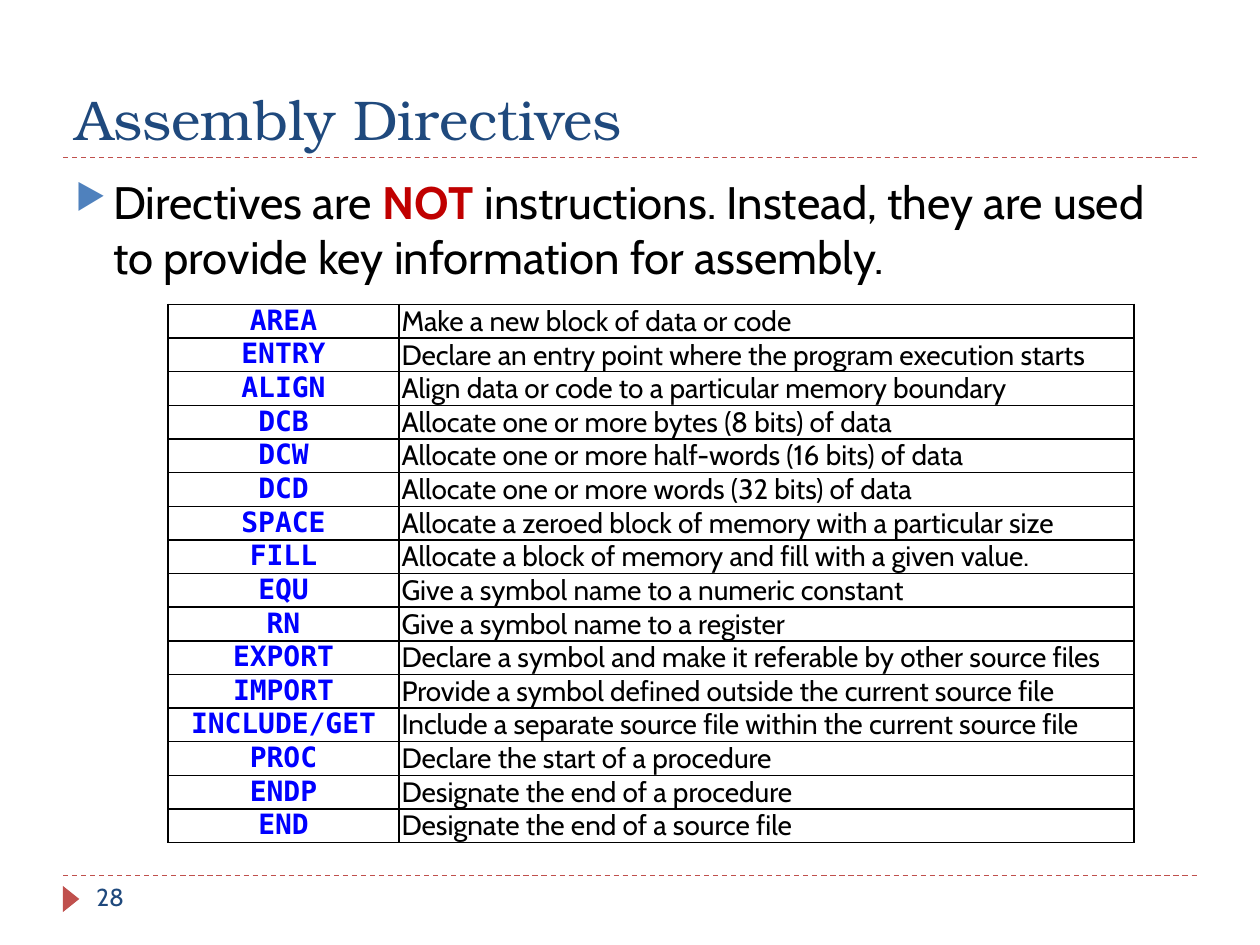
import pptx
import pptx.dml.color
import pptx.enum.dml
import pptx.enum.shapes
import pptx.enum.text
import pptx.oxml
import pptx.oxml.ns
import pptx.util

Pt = pptx.util.Pt
ALIGN = pptx.enum.text.PP_ALIGN
ANCHOR = pptx.enum.text.MSO_ANCHOR

COLORS = {
    "navy": "1F497D",
    "blue": "4F81BD",
    "code": "0000FF",
    "brick": "C0504D",
    "alert": "C00000",
    "black": "000000",
}
SERIF, SANS, MONO = "TeX Gyre Bonum", "Cabin", "DejaVu Sans Mono"

DIRECTIVES = [
    ("AREA", "Make a new block of data or code"),
    ("ENTRY", "Declare an entry point where the program execution starts"),
    ("ALIGN", "Align data or code to a particular memory boundary"),
    ("DCB", "Allocate one or more bytes (8 bits) of data"),
    ("DCW", "Allocate one or more half-words (16 bits) of data"),
    ("DCD", "Allocate one or more words (32 bits) of data"),
    ("SPACE", "Allocate a zeroed block of memory with a particular size"),
    ("FILL", "Allocate a block of memory and fill with a given value."),
    ("EQU", "Give a symbol name to a numeric constant"),
    ("RN", "Give a symbol name to a register"),
    ("EXPORT", "Declare a symbol and make it referable by other source files"),
    ("IMPORT", "Provide a symbol defined outside the current source file"),
    ("INCLUDE/GET", "Include a separate source file within the current source file"),
    ("PROC", "Declare the start of a procedure"),
    ("ENDP", "Designate the end of a procedure"),
    ("END", "Designate the end of a source file"),
]


def rgb(name):
    return pptx.dml.color.RGBColor.from_string(COLORS[name])


def xml(markup):
    tag, rest = markup.split(" ", 1)
    return pptx.oxml.parse_xml(f"{tag} {pptx.oxml.ns.nsdecls('a')} {rest}")


def style(font, face, size, color, bold=False):
    font.name = face
    font.size = Pt(size)
    font.bold = bold
    font.color.rgb = rgb(color)


def add_text(slide, left, top, width, height, runs, anchor=ANCHOR.TOP):
    box = slide.shapes.add_textbox(Pt(left), Pt(top), Pt(width), Pt(height))
    frame = box.text_frame
    frame.word_wrap = True
    frame.vertical_anchor = anchor
    paragraph = frame.paragraphs[0]
    for text, *look in runs:
        run = paragraph.add_run()
        run.text = text
        style(run.font, *look)
    return paragraph


def add_bullet(paragraph):
    properties = paragraph._p.get_or_add_pPr()
    properties.set("marL", str(Pt(21.6)))
    properties.set("indent", str(Pt(-21.6)))
    properties.append(xml(f'<a:buClr ><a:srgbClr val="{COLORS["blue"]}"/></a:buClr>'))
    properties.append(xml('<a:buSzPct val="76000"/>'))
    properties.append(xml('<a:buChar char="▶"/>'))


def add_rule(slide, y):
    rule = slide.shapes.add_connector(
        pptx.enum.shapes.MSO_CONNECTOR.STRAIGHT, Pt(36), Pt(y), Pt(684), Pt(y))
    rule.line.color.rgb = rgb("brick")
    rule.line.width = Pt(0.75)
    rule.line.dash_style = pptx.enum.dml.MSO_LINE.DASH
    rule._element.spPr.append(xml("<a:effectLst />"))


def add_page_marker(slide):
    marker = slide.shapes.add_shape(
        pptx.enum.shapes.MSO_SHAPE.ISOSCELES_TRIANGLE,
        Pt(33.1), Pt(509), Pt(15), Pt(9.4))
    marker.rotation = 90
    marker.shadow.inherit = False
    marker.fill.solid()
    marker.fill.fore_color.rgb = rgb("brick")
    marker.line.fill.background()


def fill_cell(cell, text, align, *look):
    cell.margin_left = cell.margin_right = Pt(1.5)
    cell.margin_top = cell.margin_bottom = Pt(0)
    cell.fill.background()
    paragraph = cell.text_frame.paragraphs[0]
    paragraph.text = text
    paragraph.alignment = align
    style(paragraph.runs[0].font, *look)
    properties = cell._tc.get_or_add_tcPr()
    for position, side in enumerate(("lnL", "lnR", "lnT", "lnB")):
        properties.insert(position, xml(
            f'<a:{side} w="{Pt(1)}"><a:solidFill><a:srgbClr val="{COLORS["black"]}"/>'
            f"</a:solidFill></a:{side}>"))


def add_directive_table(slide):
    row_height = 19.2
    table = slide.shapes.add_table(
        len(DIRECTIVES), 2, Pt(96), Pt(174),
        Pt(552), Pt(row_height * len(DIRECTIVES))).table
    table.first_row = table.horz_banding = False
    for column, width in zip(table.columns, (132, 420)):
        column.width = Pt(width)
    for row, (directive, meaning) in zip(table.rows, DIRECTIVES):
        row.height = Pt(row_height)
        fill_cell(row.cells[0], directive, ALIGN.CENTER, MONO, 16, "code", True)
        fill_cell(row.cells[1], meaning, ALIGN.JUSTIFY, SANS, 16, "black")


def main():
    deck = pptx.Presentation()
    deck.slide_width, deck.slide_height = Pt(720), Pt(540)
    slide = deck.slides.add_slide(deck.slide_layouts[6])
    for y in (500.4, 90):
        add_rule(slide, y)
    add_page_marker(slide)
    add_text(slide, 36, 12, 648, 78,
             [("Assembly Directives", SERIF, 32, "navy")], ANCHOR.BOTTOM)
    add_text(slide, 48, 500.4, 156, 28.8, [("28", SANS, 14, "navy")])
    add_directive_table(slide)
    summary = add_text(slide, 36, 96, 648, 389, [
        ("Directives are ", SANS, 26, "black"),
        ("NOT", SANS, 26, "alert", True),
        (" instructions. Instead, they are used to provide key information for assembly.",
         SANS, 26, "black"),
    ])
    add_bullet(summary)
    deck.save("out.pptx")


if __name__ == "__main__":
    main()
